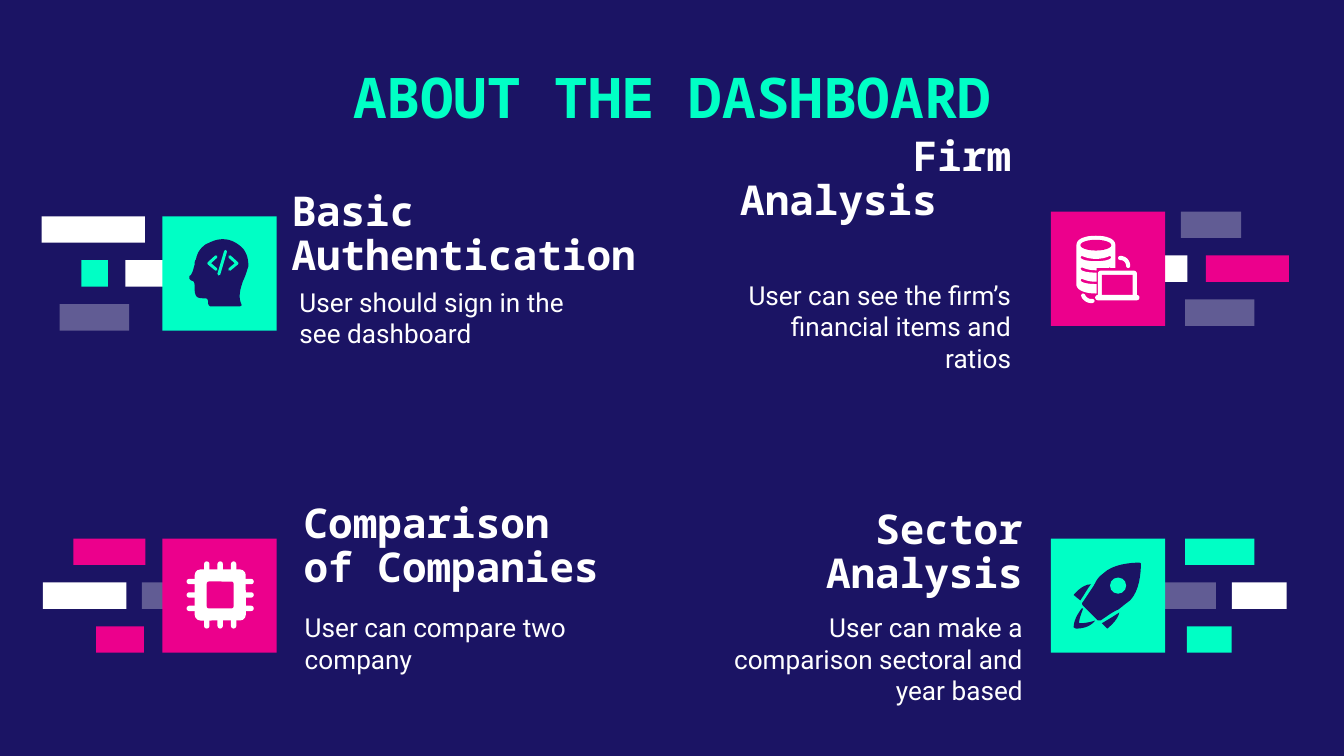
from dataclasses import dataclass
from itertools import product

from lxml import etree
from pptx import Presentation
from pptx.dml.color import RGBColor
from pptx.enum import shapes, text
from pptx.oxml import ns
from pptx.util import Cm, Pt


@dataclass(frozen=True)
class Theme:
    navy: str = "1B1464"
    mint: str = "00FFC5"
    pink: str = "EC008C"
    white: str = "FFFFFF"
    dim: str = "FFFFFF:31"  # colour and opacity in percent
    head_font: str = "Noto Sans Mono"
    body_font: str = "Roboto"
    title: float = 30
    head: float = 22
    body: float = 14


T = Theme()
TILE = 2.16
BAR_H, BAR_STEP = 0.5, 0.83
UNIT = 0.0254  # icon grid step in cm; a tile is 85 steps wide
L, C, R = text.PP_ALIGN.LEFT, text.PP_ALIGN.CENTER, text.PP_ALIGN.RIGHT
RECT, OVAL = shapes.MSO_SHAPE.RECTANGLE, shapes.MSO_SHAPE.OVAL
ROUND = shapes.MSO_SHAPE.ROUNDED_RECTANGLE


def paint(sp, color):
    rgb, _, opacity = color.partition(":")
    sp.shadow.inherit = False
    sp.line.fill.background()
    sp.fill.solid()
    sp.fill.fore_color.rgb = RGBColor.from_string(rgb)
    if opacity:
        clr = sp.element.spPr.find(".//" + ns.qn("a:srgbClr"))
        etree.SubElement(clr, ns.qn("a:alpha"), val=f"{opacity}000")


def block(s, kind, x, y, w, h, color, radius=None):
    sp = s.shapes.add_shape(kind, Cm(x), Cm(y), Cm(w), Cm(h))
    if radius is not None:
        sp.adjustments[0] = radius
    paint(sp, color)


def grid_block(s, kind, tile, box, color, radius=None):
    """Place a preset shape by its icon-grid box (left, top, width, height)."""
    x, y, w, h = (v * UNIT for v in box)
    block(s, kind, tile[0] + x, tile[1] + y, w, h, color, radius)


def flatten(path, steps=8):
    """Turn a path of points and six-number cubic curves into plain points."""
    pts = [path[0]]
    for seg in path[1:]:
        if len(seg) == 2:
            pts.append(seg)
            continue
        ctrl = [pts[-1], seg[:2], seg[2:4], seg[4:]]
        for i in range(1, steps + 1):
            t = i / steps
            weights = ((1 - t) ** 3, 3 * t * (1 - t) ** 2, 3 * t * t * (1 - t), t ** 3)
            pts.append(tuple(sum(w * p[k] for w, p in zip(weights, ctrl)) for k in (0, 1)))
    return pts


def outline(s, tile, paths, color, stroke=None):
    """Draw icon-grid paths: filled, or as open lines when a stroke width is given."""
    fb = None
    for path in paths:
        first, *rest = [(Cm(x * UNIT), Cm(y * UNIT)) for x, y in flatten(path)]
        if fb is None:
            fb = s.shapes.build_freeform(*first, scale=1.0)
        else:
            fb.move_to(*first)
        fb.add_line_segments(rest, close=stroke is None)
    sp = fb.convert_to_shape(Cm(tile[0]), Cm(tile[1]))
    paint(sp, color)
    if stroke:
        sp.fill.background()
        sp.line.color.rgb = RGBColor.from_string(color)
        sp.line.width = Pt(stroke)
        sp.element.spPr.find(ns.qn("a:ln")).set("cap", "rnd")


def head_icon(s, tile, ink, ground):
    outline(s, tile, [[
        (45, 17), (40, 17, 36, 19, 32, 21), (28, 24, 26, 27, 25, 32),
        (24, 33, 24, 35, 24, 36), (23, 39, 23, 41, 21, 44), (20, 44, 20, 45, 20, 46),
        (20, 47, 22, 48, 22, 48), (24, 48, 24, 51, 24, 52), (24, 55, 24, 57, 25, 59),
        (26, 61, 29, 61, 31, 61), (33, 61, 34, 61, 34, 64), (34, 66, 35, 67, 36, 67),
        (57, 67), (59, 67, 59, 66, 59, 66), (56, 60, 58, 54, 60, 48),
        (62, 44, 63, 40, 64, 37), (64, 32, 63, 28, 60, 24), (56, 20, 51, 17, 45, 17)]], ink)
    outline(s, tile, [[(40, 30), (34.5, 35), (40, 39.5)], [(47, 26), (42, 43)],
                      [(50, 30), (55.5, 35), (50, 39.5)]], ground, 1.6)


def chip_icon(s, tile, ink, ground):
    for c in (33, 43, 53):
        grid_block(s, ROUND, tile, (c - 2, 17, 4, 50), ink, 0.5)
        grid_block(s, ROUND, tile, (18, c - 3, 50, 4), ink, 0.5)
    grid_block(s, ROUND, tile, (24, 23, 38, 38), ink, 0.11)
    grid_block(s, ROUND, tile, (33, 32, 20, 20), ground, 0.08)


def database_icon(s, tile, ink, ground):
    stack = [(33.5, 18), (26, 18, 19, 20, 19, 25), (19, 55), (20, 59, 26, 61, 33.5, 61),
             (41, 61, 47, 59, 48, 55), (48, 25), (48, 20, 41, 18, 33.5, 18)]
    gaps = [[(23, y), (29, y + 3, 38, y + 3, 44, y), (45, y + 1),
             (45, y + 5, 22, y + 5, 22, y + 1)] for y in (33, 41.5, 50)]
    outline(s, tile, [stack, *gaps], ink)
    grid_block(s, OVAL, tile, (22, 21, 23, 8), ground)
    grid_block(s, RECT, tile, (34, 42, 15, 20), ground)
    grid_block(s, ROUND, tile, (35, 44, 29, 20), ink, 0.1)
    grid_block(s, RECT, tile, (38, 47, 23, 15), ground)
    grid_block(s, ROUND, tile, (33, 62, 33, 4), ink, 0.5)
    outline(s, tile, [[(24, 62.5), (25, 65, 28, 67, 31, 66.5)],
                      [(51.5, 34.5), (55, 34.5, 57.5, 37, 57.5, 40.5)]], ink, 2.2)


def rocket_icon(s, tile, ink, ground):
    upper_fin = [(30, 34), (23, 34, 17, 42, 17, 42), (22, 46), (26, 40, 28, 36, 30, 34)]
    lower_fin = [(51, 55), (48, 57, 45, 59, 38, 63), (42, 67), (42, 67, 50, 61, 51, 55)]
    flame = [(23, 52), (20, 56, 17, 61, 17, 66), (17, 66, 18, 67, 19, 67),
             (25, 67, 30, 65, 33, 61), (30, 62, 26, 63, 21, 63), (21, 60, 23, 55, 24, 52)]
    body = [(65, 18), (60, 18, 46, 19, 39, 26), (35, 29, 34, 31, 32, 35),
            (30, 38, 28, 41, 24, 47), (23, 48, 23, 49, 24, 50), (35, 61),
            (35, 61, 36, 61, 37, 61), (43, 57, 47, 54, 50, 53), (54, 50, 55, 49, 59, 46),
            (66, 39, 67, 25, 67, 19), (67, 18, 66, 18, 65, 18)]
    for part in (upper_fin, lower_fin, flame, body):
        outline(s, tile, [part], ink)
    grid_block(s, OVAL, tile, (44, 29, 12, 12), ground)


def write(s, box, lines, font, size, color, align, anchor, bold=False, top=0, bottom=0):
    tf = s.shapes.add_textbox(*map(Cm, box)).text_frame
    tf.word_wrap = True
    tf.vertical_anchor = anchor
    tf.margin_left = tf.margin_right = Cm(0.25)
    tf.margin_top, tf.margin_bottom = Cm(top), Cm(bottom)
    tf.text = "\n".join(lines)
    for p in tf.paragraphs:
        p.alignment = align
        p.font.name, p.font.size, p.font.bold = font, Pt(size), bold
        p.font.color.rgb = RGBColor.from_string(color)
        if bold:
            p.line_spacing = 0.9
    return tf


def title(s, box, words):
    write(s, box, [words], T.head_font, T.title, T.mint, C,
          text.MSO_ANCHOR.MIDDLE, True, 0.25, 0.25)


def feature(s, tile, color, ink, icon, bars, head, head_box, body, body_box, align):
    """Tile with icon and bars (row, offset, width, colour); boxes are tile-relative."""
    x, y = tile

    def place(box):
        return x + box[0], y + box[1], box[2], box[3]

    for row, dx, w, bar_color in bars:
        block(s, RECT, x + dx, y + row * BAR_STEP, w, BAR_H, bar_color)
    block(s, RECT, x, y, TILE, TILE, color)
    icon(s, tile, ink, color)
    stepped = len(head) > 1
    tf = write(s, place(head_box), head, T.head_font, T.head, T.white, align,
               text.MSO_ANCHOR.BOTTOM, True, bottom=0.93 if stepped else 0)
    if stepped:
        last = tf.paragraphs[-1]
        last.alignment = L
        last._p.get_or_add_pPr().set("marL", str(Cm(0.4)))
    write(s, place(body_box), [body], T.body_font, T.body, T.white, align,
          text.MSO_ANCHOR.TOP, bottom=0.25)


def main():
    prs = Presentation()
    prs.slide_width, prs.slide_height = Cm(25.4), Cm(14.29)
    s = prs.slides.add_slide(prs.slide_layouts[6])
    s.background.fill.solid()
    s.background.fill.fore_color.rgb = RGBColor.from_string(T.navy)

    title(s, (3.56, 0.97, 18.29, 1.85), "ABOUT THE DASHBOARD")
    tiles = product((4.09, 10.18), (3.07, 19.86))
    top_left, top_right, low_left, low_right = [(x, y) for y, x in tiles]
    feature(s, top_left, T.mint, T.navy, head_icon,
            [(0, -2.28, 1.95, T.white), (1, -1.53, 0.5, T.mint),
             (1, -0.7, 0.9, T.white), (2, -1.94, 1.31, T.dim)],
            ["Basic Authentication"], (2.19, -0.43, 7.32, 1.63),
            "User should sign in the see dashboard", (2.34, 1.32, 6.02, 1.14), L)
    feature(s, (top_right[0], 4), T.pink, T.white, database_icon,
            [(0, 2.46, 1.14, T.dim), (1, 1.98, 0.6, T.white),
             (1, 2.93, 1.57, T.pink), (2, 2.54, 1.31, T.dim)],
            ["Firm", "Analysis"], (-6.52, 0.19, 6.02, 0.99),
            "User can see the firm’s financial items and ratios", (-6.52, 1.28, 6.02, 1.14), R)
    feature(s, low_left, T.pink, T.white, chip_icon,
            [(0, -1.68, 1.36, T.pink), (1, -2.26, 1.58, T.white),
             (1, -0.39, 0.6, T.dim), (2, -1.25, 0.9, T.pink)],
            ["Comparison of Companies"], (2.42, -0.02, 6.22, 1.02),
            "User can compare two company", (2.44, 1.38, 6.02, 1.14), L)
    feature(s, low_right, T.mint, T.navy, rocket_icon,
            [(0, 2.54, 1.31, T.mint), (1, 1.98, 1.14, T.dim),
             (1, 3.42, 1.04, T.white), (2, 2.57, 0.85, T.mint)],
            ["Sector Analysis"], (-6.3, 0.13, 6.02, 0.99),
            "User can make a comparison sectoral and year based",
            (-6.83, 1.38, 6.55, 1.45), R)
    prs.save("out.pptx")


if __name__ == "__main__":
    main()
